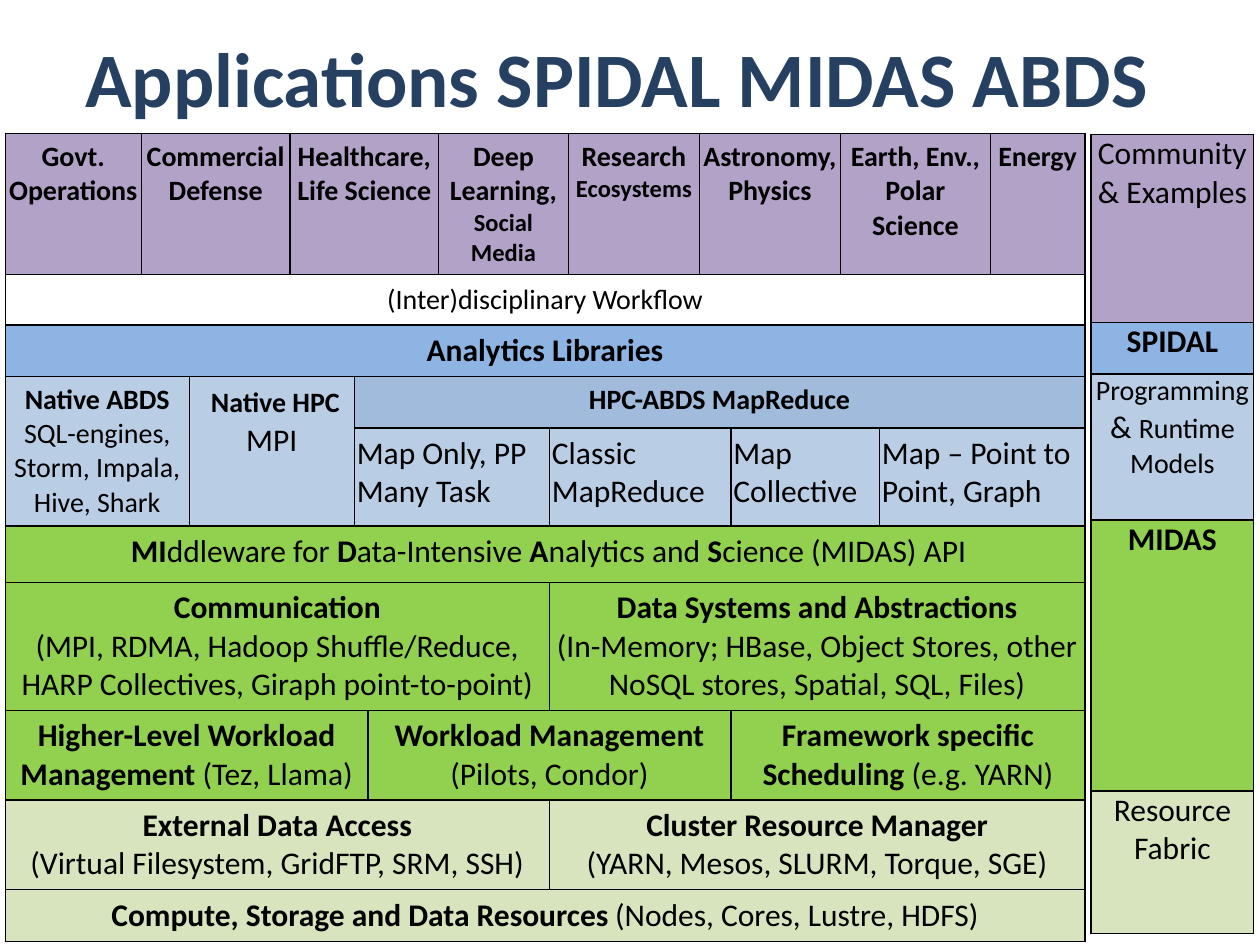
from dataclasses import dataclass

from lxml import etree
from pptx import Presentation
from pptx.dml.color import RGBColor
from pptx.enum.text import MSO_ANCHOR, PP_ALIGN
from pptx.oxml.ns import qn
from pptx.util import Pt

CENTER, LEFT = PP_ALIGN.CENTER, PP_ALIGN.LEFT
MIDDLE, TOP = MSO_ANCHOR.MIDDLE, MSO_ANCHOR.TOP


@dataclass(frozen=True)
class Theme:
    font: str = "Calibri"
    ink: str = "000000"
    navy: str = "254061"
    purple: str = "B3A2C7"
    white: str = "FFFFFF"
    blue: str = "8EB4E3"
    steel: str = "A0BBDC"
    pale_blue: str = "B9CDE5"
    green: str = "92D050"
    pale_green: str = "D7E4BD"
    title: int = 44
    body: int = 18
    small: int = 16
    tiny: int = 14
    border: int = 1


T = Theme()
BOLD = {"bold": True}
SMALL = {"size": T.small}
TINY = {"size": T.tiny}
SMALL_BOLD = SMALL | BOLD


def write(frame, paragraphs, size=T.body, bold=False, color=T.ink, align=CENTER):
    """Fill a frame; each paragraph is a string or a list of (text, overrides)."""
    frame.word_wrap = True
    for number, runs in enumerate(paragraphs):
        paragraph = frame.paragraphs[0] if number == 0 else frame.add_paragraph()
        paragraph.alignment = align
        for text, changes in [(runs, {})] if isinstance(runs, str) else runs:
            for part, line in enumerate(text.split("\n")):
                if part:
                    paragraph.add_line_break()
                run = paragraph.add_run()
                run.text = line
                run.font.name = T.font
                run.font.size = Pt(changes.get("size", size))
                run.font.bold = changes.get("bold", bold)
                run.font.color.rgb = RGBColor.from_string(color)


def build_table(left, top, columns, rows, blocks, margins):
    """Blocks are (row, column, row span, column span, fill, paragraphs, format)."""
    frame = slide.shapes.add_table(len(rows), len(columns), Pt(left), Pt(top),
                                   Pt(sum(columns)), Pt(sum(rows)))
    table = frame.table
    table.first_row = table.horz_banding = False
    for column, width in zip(table.columns, columns):
        column.width = Pt(width)
    for row, height in zip(table.rows, rows):
        row.height = Pt(height)
    for row, column, row_span, column_span, fill, paragraphs, style in blocks:
        for r in range(row, row + row_span):
            for c in range(column, column + column_span):
                cell = table.cell(r, c)
                properties = cell._tc.get_or_add_tcPr()
                for side in ("lnL", "lnR", "lnT", "lnB"):
                    line = etree.SubElement(properties, qn(f"a:{side}"), w=str(Pt(T.border)))
                    solid = etree.SubElement(line, qn("a:solidFill"))
                    etree.SubElement(solid, qn("a:srgbClr"), val=T.ink)
                cell.fill.solid()
                cell.fill.fore_color.rgb = RGBColor.from_string(fill)
        cell = table.cell(row, column)
        if row_span * column_span > 1:
            cell.merge(table.cell(row + row_span - 1, column + column_span - 1))
        cell.margin_left = cell.margin_right = Pt(margins[0])
        cell.margin_top = cell.margin_bottom = Pt(margins[1])
        style = dict(style)
        cell.vertical_anchor = style.pop("anchor", TOP)
        write(cell.text_frame, paragraphs, **style)


presentation = Presentation()
presentation.slide_width, presentation.slide_height = Pt(720), Pt(540)
slide = presentation.slides.add_slide(presentation.slide_layouts[6])

communities = [
    (1, ["Govt. Operations"]),
    (2, ["Commercial", "Defense"]),
    (3, ["Healthcare,", "Life Science"]),
    (2, ["Deep Learning,", [("Social Media", TINY)]]),
    (1, [[("Research ", {}), ("Ecosystems", TINY)]]),
    (2, ["Astronomy, ", "Physics"]),
    (2, ["Earth, Env., Polar Science"]),
    (1, ["Energy"]),
]
layers = []
start = 0
for span, paragraphs in communities:
    layers.append((0, start, 1, span, T.purple, paragraphs, SMALL_BOLD))
    start += span

layers += [
    (1, 0, 1, 14, T.white, ["(Inter)disciplinary Workflow"], SMALL | {"anchor": MIDDLE}),
    (2, 0, 1, 14, T.blue, ["Analytics Libraries"], BOLD),
    (3, 0, 2, 2, T.pale_blue,
     [[("Native ABDS", BOLD)], "SQL-engines, Storm, Impala, Hive, Shark"], SMALL),
    (3, 2, 2, 2, T.pale_blue, [[(" ", {}), ("Native HPC", SMALL_BOLD)], "MPI"], {}),
    (3, 4, 1, 10, T.steel, ["HPC-ABDS MapReduce"], SMALL_BOLD),
    (4, 4, 1, 3, T.pale_blue, ["Map Only, PP", "Many Task"], {"align": LEFT}),
    (4, 7, 1, 3, T.pale_blue, ["Classic MapReduce"], {"align": LEFT}),
    (4, 10, 1, 2, T.pale_blue, ["Map \nCollective"], {"align": LEFT}),
    (4, 12, 1, 2, T.pale_blue, ["Map – Point to Point, Graph"], {"align": LEFT}),
    (5, 0, 1, 14, T.green,
     [[(" ", {}), ("MI", BOLD), ("ddleware for ", {}), ("D", BOLD), ("ata-Intensive ", {}),
       ("A", BOLD), ("nalytics and ", {}), ("S", BOLD), ("cience (MIDAS) API", {})]], {}),
    (6, 0, 1, 7, T.green,
     [[("Communication", BOLD)],
      "(MPI, RDMA, Hadoop Shuffle/Reduce, HARP Collectives, Giraph point-to-point)"], {}),
    (6, 7, 1, 7, T.green,
     [[("Data Systems and Abstractions", BOLD)],
      "(In-Memory; HBase, Object Stores, other NoSQL stores, Spatial, SQL, Files)"], {}),
    (7, 0, 1, 5, T.green,
     [[("Higher-Level Workload Management ", BOLD), ("(Tez, Llama)", {})]], {}),
    (7, 5, 1, 5, T.green, [[("Workload Management", BOLD)], "(Pilots, Condor)"], {}),
    (7, 10, 1, 4, T.green,
     [[("Framework specific Scheduling ", BOLD), ("(e.g. YARN)", {})]], {}),
    (8, 0, 1, 7, T.pale_green,
     [[("External Data Access", BOLD)], "(Virtual Filesystem, GridFTP, SRM, SSH)"], {}),
    (8, 7, 1, 7, T.pale_green,
     [[("Cluster Resource Manager", BOLD)], "(YARN, Mesos, SLURM, Torque, SGE)"], {}),
    (9, 0, 1, 14, T.pale_green,
     [[("Compute, Storage and Data Resources", BOLD), (" ", SMALL),
       ("(Nodes, Cores, Lustre, HDFS)", {})]], {}),
]
build_table(
    3, 76.4,
    [77.8, 27.4, 57.6, 36.7, 7.9, 40.3, 63.4, 10.8, 74.9, 18, 62.6, 22.3, 63.4, 54],
    [68.4, 28.8, 29.5, 29.5, 54.7, 32.4, 72, 50.4, 50.4, 29.5],
    layers, margins=(1.44, 3.6))

legend = [
    (T.purple, ["Community & Examples"], {}),
    (T.blue, ["SPIDAL"], BOLD),
    (T.pale_blue, [[("Programming ", SMALL), ("& ", {}), ("Runtime Models", SMALL)]], {}),
    (T.green, ["MIDAS"], BOLD),
    (T.pale_green, ["Resource Fabric"], {}),
]
build_table(
    623.5, 77, [92.9], [107.3, 29.5, 83.5, 154.8, 81.4],
    [(row, 0, 1, 1, *entry) for row, entry in enumerate(legend)], margins=(2.16, 0))

heading = slide.shapes.add_textbox(Pt(28.8), Pt(-1.4), Pt(648), Pt(90)).text_frame
heading.vertical_anchor = MIDDLE
write(heading, ["Applications SPIDAL MIDAS ABDS"], size=T.title, bold=True, color=T.navy)

presentation.save("out.pptx")
